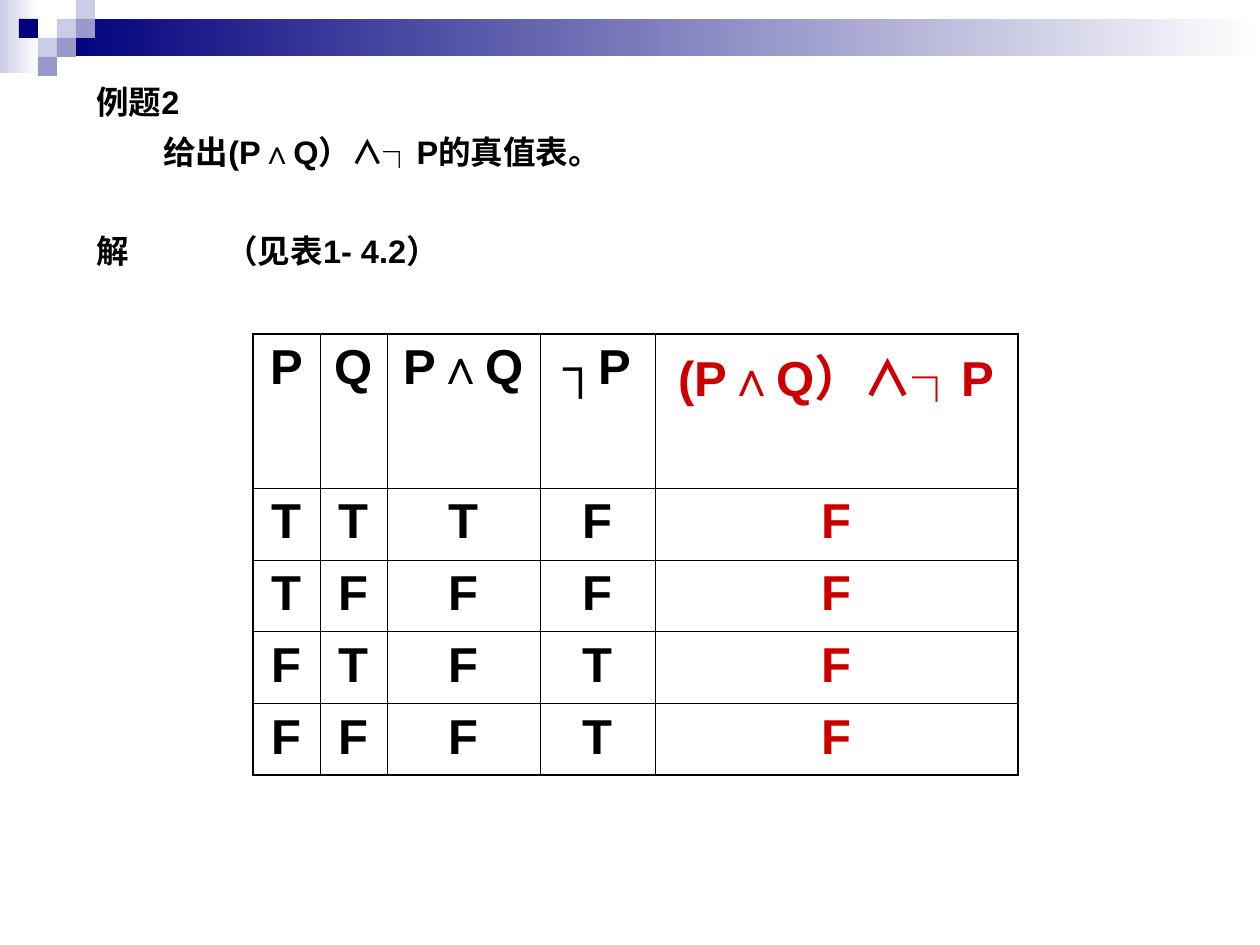
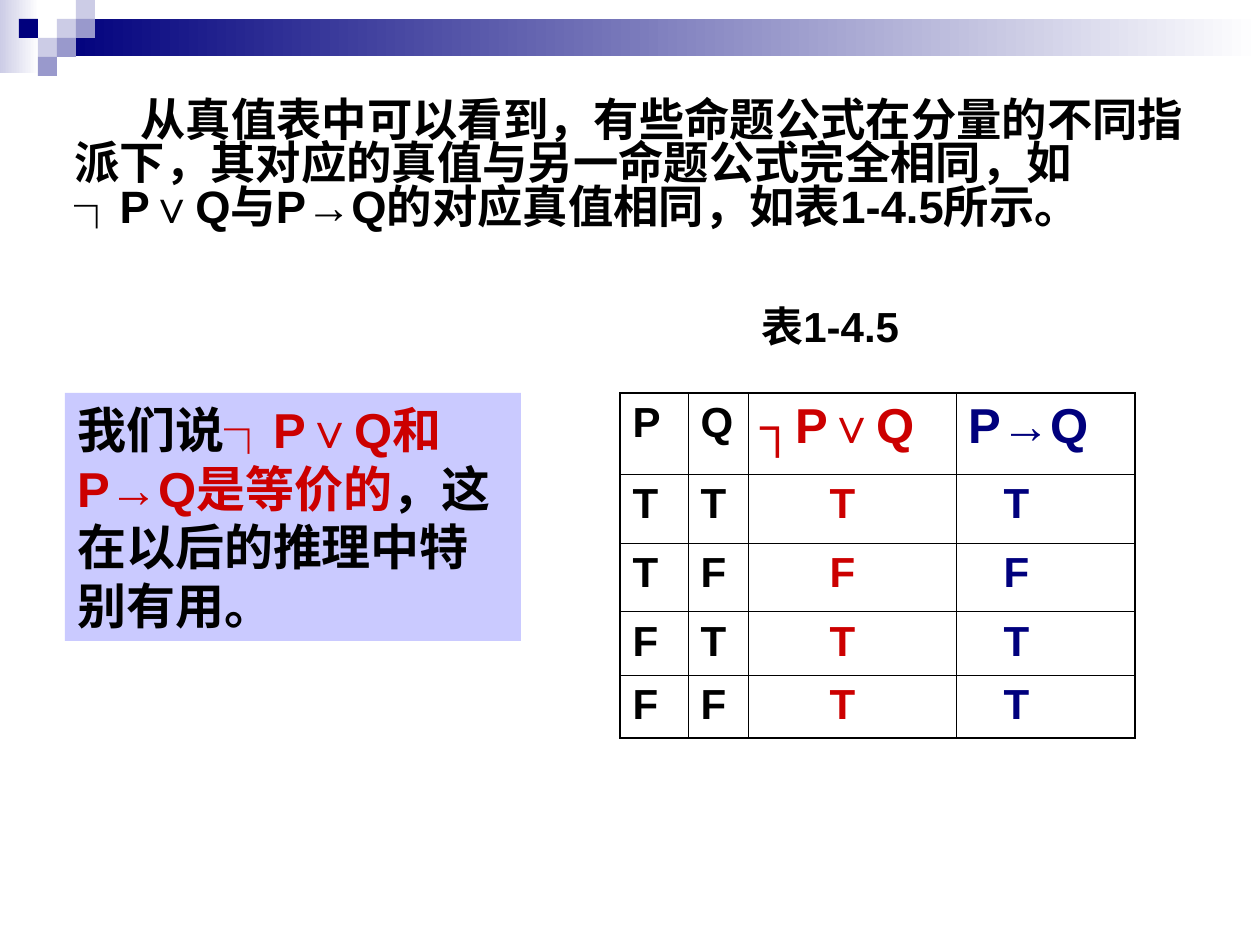
from dataclasses import dataclass

from lxml import etree
from pptx import Presentation
from pptx import util as u
from pptx.dml.color import RGBColor
from pptx.enum import lang, shapes, text
from pptx.oxml import ns

DPI = 126
FONT = "Arial"
HUES = {
    "ink": "000000",
    "red": "CC0000",
    "navy": "00007D",
    "mid": "9999CC",
    "pale": "CCCCE6",
    "note": "CACAFF",
    "white": "FFFFFF",
}
UNIT = 19  # side of one square of the corner pattern
THIN, THICK = 0.45, 1.08


@dataclass(frozen=True)
class Box:
    x: int
    y: int
    w: int
    h: int


@dataclass(frozen=True)
class Run:
    text: str
    hue: str = "ink"


@dataclass(frozen=True)
class Para:
    runs: tuple[Run, ...]
    size: float
    left: int = 0
    first: int = 0
    before: float = 0
    line: float | None = None
    align: text.PP_ALIGN = text.PP_ALIGN.LEFT


@dataclass(frozen=True)
class Square:
    col: int
    row: int
    hue: str


@dataclass(frozen=True)
class Column:
    width: int
    head: str
    vals: str
    hue: str = "ink"
    size: int = 28
    indent: int = 0


@dataclass(frozen=True)
class Grid:
    x: int
    y: int
    rows: tuple[int, ...]
    cols: tuple[Column, ...]
    size: int
    align: text.PP_ALIGN


SQUARES = (
    Square(3, 1, "pale"),
    Square(4, 0, "pale"),
    Square(4, 1, "mid"),
    Square(2, 2, "pale"),
    Square(1, 1, "navy"),
    Square(3, 2, "mid"),
    Square(2, 3, "mid"),
)

TRUTH = Grid(253, 334, (154, 72, 71, 72, 71), (
    Column(67, "P", "TTFF"),
    Column(67, "Q", "TFTF"),
    Column(153, "P∧Q", "TFFF"),
    Column(115, "┐P", "FFTT"),
    Column(363, "(P∧Q）∧┐P", "FFFF", "red"),
), 28, text.PP_ALIGN.CENTER)

EQUAL = Grid(620, 393, (81, 69, 69, 63, 63), (
    Column(68, "P", "TTFF", size=24),
    Column(60, "Q", "TFTF", size=24),
    Column(208, "┐P∨Q", "TFTT", "red", indent=69),
    Column(179, "P→Q", "TFTT", "navy", indent=35),
), 24, text.PP_ALIGN.LEFT)


def px(val: int) -> int:
    return round(val * 914400 / DPI)


def place(box: Box) -> tuple[int, ...]:
    return tuple(px(val) for val in (box.x, box.y, box.w, box.h))


def color(hue: str) -> RGBColor:
    return RGBColor.from_string(HUES[hue])


def write(frame, paras: list[Para]) -> None:
    frame.word_wrap = True
    for num, para in enumerate(paras):
        p = frame.paragraphs[0] if num == 0 else frame.add_paragraph()
        prop = p._p.get_or_add_pPr()
        prop.set("marL", str(px(para.left)))
        prop.set("indent", str(px(para.first)))
        p.alignment = para.align
        p.space_before = u.Pt(para.before)
        if para.line:
            p.line_spacing = para.line
        for part in para.runs:
            run = p.add_run()
            run.text = part.text
            font = run.font
            font.name, font.size, font.bold = FONT, u.Pt(para.size), True
            font.language_id = lang.MSO_LANGUAGE_ID.SIMPLIFIED_CHINESE
            font.color.rgb = color(part.hue)


def label(slide, box: Box, paras: list[Para]) -> None:
    write(slide.shapes.add_textbox(*place(box)).text_frame, paras)


def block(slide, box: Box, hue: str, fade: bool = False):
    """Draw a rectangle without outline; fade runs it to white at the right."""
    rect = slide.shapes.add_shape(shapes.MSO_SHAPE.RECTANGLE, *place(box))
    rect.shadow.inherit = False
    rect.line.fill.background()
    if fade:
        rect.fill.gradient()
        rect.fill.gradient_angle = 0
        for stop, tone in zip(rect.fill.gradient_stops, (hue, "white")):
            stop.color.rgb = color(tone)
    else:
        rect.fill.solid()
        rect.fill.fore_color.rgb = color(hue)
    return rect


def banner(slide) -> None:
    block(slide, Box(0, 0, 39, 73), "pale", True)
    block(slide, Box(3 * UNIT, UNIT, 1203, 37), "navy", True)
    for sq in SQUARES:
        block(slide, Box(sq.col * UNIT, sq.row * UNIT, UNIT, UNIT), sq.hue)


def border(cell, outer: dict[str, bool]) -> None:
    """Rule the four sides, thick where the side is on the table's edge."""
    prop = cell._tc.get_or_add_tcPr()
    for side, edge in outer.items():
        width = u.Pt(THICK if edge else THIN)
        line = etree.SubElement(prop, ns.qn(f"a:ln{side}"), w=str(int(width)))
        fill = etree.SubElement(line, ns.qn("a:solidFill"))
        etree.SubElement(fill, ns.qn("a:srgbClr"), val=HUES["ink"])


def table(slide, grid: Grid) -> None:
    high, wide = len(grid.rows), len(grid.cols)
    box = Box(grid.x, grid.y, sum(c.width for c in grid.cols), sum(grid.rows))
    tab = slide.shapes.add_table(high, wide, *place(box)).table
    tab.first_row = tab.horz_banding = False
    for row, size in zip(tab.rows, grid.rows):
        row.height = px(size)
    for c, col in enumerate(grid.cols):
        tab.columns[c].width = px(col.width)
        for r, word in enumerate((col.head, *col.vals)):
            cell = tab.cell(r, c)
            border(cell, {"L": c == 0, "R": c == wide - 1,
                          "T": r == 0, "B": r == high - 1})
            cell.fill.background()
            write(cell.text_frame, [Para(
                (Run(word, col.hue),), grid.size if r else col.size,
                left=col.indent if r else 0, align=grid.align)])


def sample(slide) -> None:
    size = 18.6
    label(slide, Box(84, 76, 1134, 248), [
        Para((Run("例题2"),), size),
        Para((Run("给出(P∧Q）∧┐P的真值表。"),), size, left=67, before=6),
        Para((Run("解"),), size, before=34.5),
    ])
    label(slide, Box(213, 225, 400, 52), [Para((Run("（见表1- 4.2）"),), size)])
    table(slide, TRUTH)


def match(slide) -> None:
    label(slide, Box(15, 95, 1218, 258), [Para((Run(
        "从真值表中可以看到，有些命题公式在分量的不同指派下，"
        "其对应的真值与另一命题公式完全相同，"
        "如┐P∨Q与P→Q的对应真值相同，如表1-4.5所示。"),),
        25.9, left=47, first=66, line=0.8)])
    table(slide, EQUAL)
    label(slide, Box(749, 294, 358, 63), [Para((Run("表1-4.5"),), 24)])
    note = block(slide, Box(65, 393, 456, 248), "note")
    note.text_frame.vertical_anchor = text.MSO_ANCHOR.TOP
    write(note.text_frame, [Para((
        Run("我们说"),
        Run("┐P∨Q和P→Q是等价的", "red"),
        Run("，这在以后的推理中特别有用。"),
    ), 28)])


def main() -> None:
    deck = Presentation()
    deck.slide_width, deck.slide_height = px(1260), px(945)
    for fill in (sample, match):
        slide = deck.slides.add_slide(deck.slide_layouts[6])
        banner(slide)
        fill(slide)
    deck.save("out.pptx")


if __name__ == "__main__":
    main()
